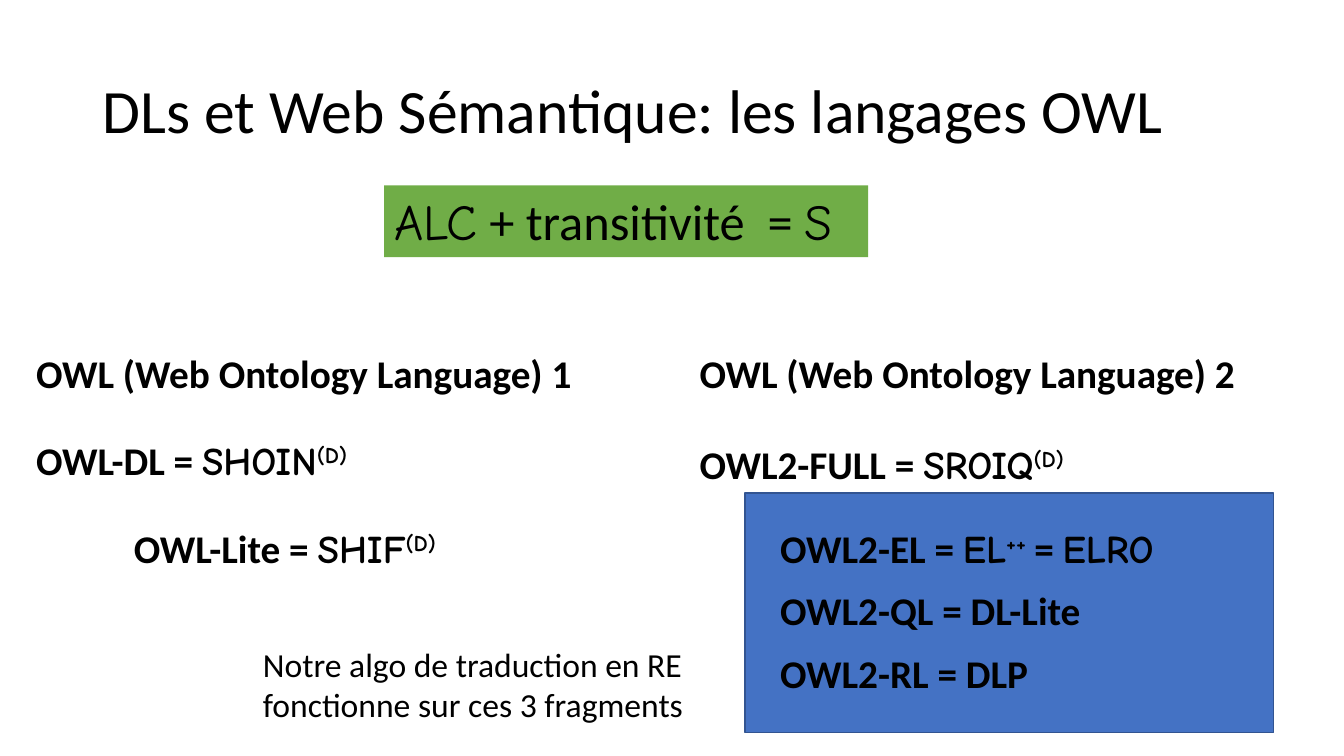
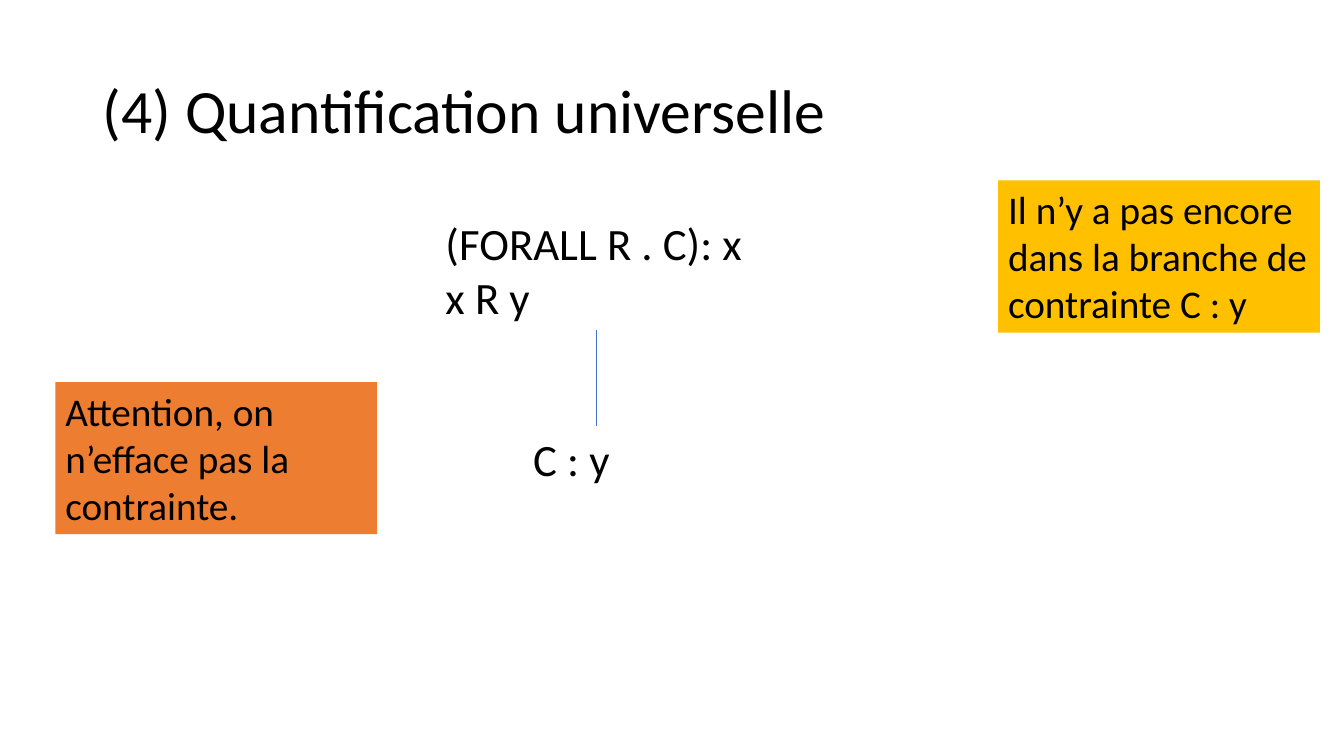
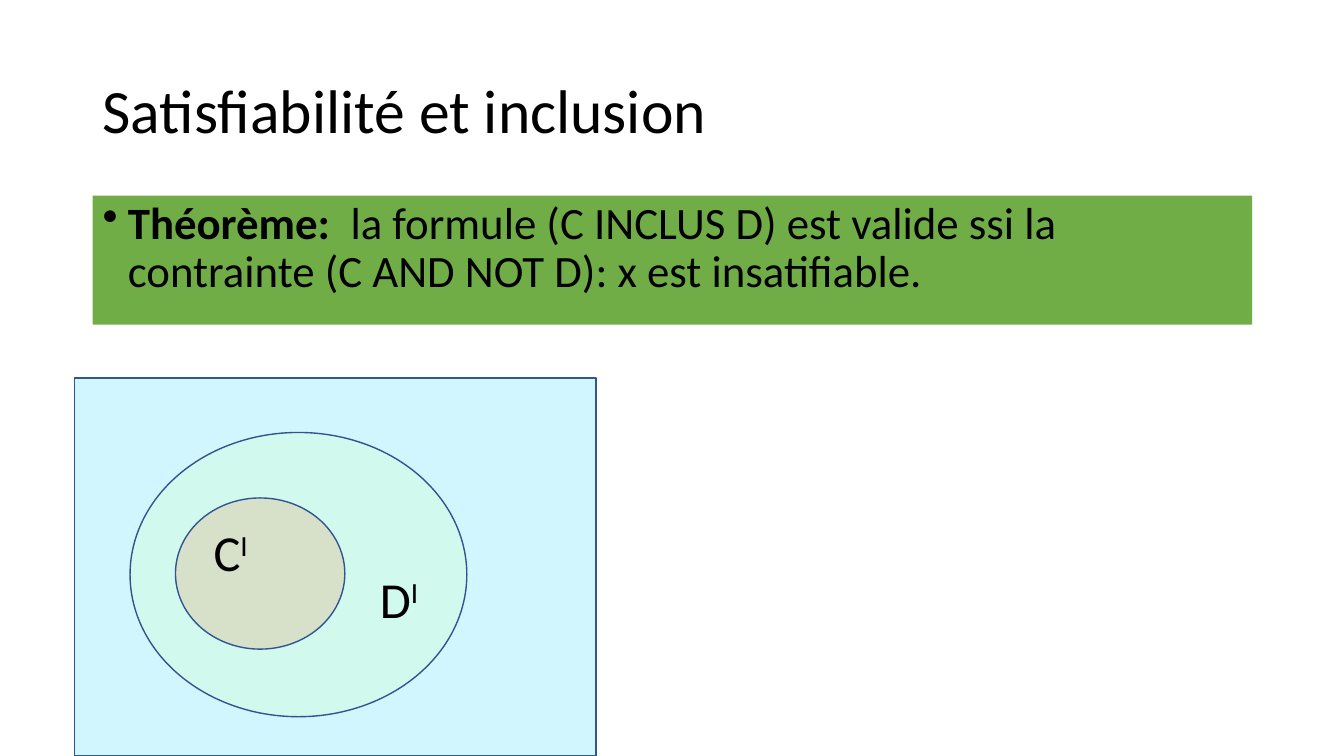
import lxml.etree
import pptx
import pptx.dml.color
import pptx.enum.shapes
import pptx.enum.text
import pptx.oxml.ns
import pptx.util

Inches = pptx.util.Inches
Pt = pptx.util.Pt
Color = pptx.dml.color.RGBColor
Kind = pptx.enum.shapes.MSO_SHAPE
qn = pptx.oxml.ns.qn

BLACK = Color(0x00, 0x00, 0x00)
BLUE = Color(0x44, 0x72, 0xC4)
NAVY = Color(0x32, 0x54, 0x91)
GREEN = Color(0x70, 0xAD, 0x47)
GOLD = Color(0xFF, 0xC0, 0x00)
ORANGE = Color(0xED, 0x7D, 0x31)
CYAN = Color(0x0F, 0xD2, 0xF9)
MINT = Color(0xD3, 0xFB, 0xE9)

FONT = "Calibri"
COMIC = "Comic Neue"
PLAIN, LOGIC, POWER, RAISED, STRONG = range(5)


class Deck:
    def __init__(self):
        self.show = pptx.Presentation()
        self.show.slide_width = Inches(13.33)
        self.show.slide_height = Inches(7.5)

    def page(self, title):
        self.slide = self.show.slides.add_slide(self.show.slide_layouts[6])
        box = self.text((0.92, 0.4, 11.5, 1.45), [title], 44)
        box.text_frame.vertical_anchor = pptx.enum.text.MSO_ANCHOR.MIDDLE
        box.text_frame.paragraphs[0].line_spacing = 0.9

    def text(self, place, lines, size, bold=False, fill=None):
        box = self.slide.shapes.add_textbox(*map(Inches, place))
        if fill is not None:
            box.fill.solid()
            box.fill.fore_color.rgb = fill
        frame = box.text_frame
        frame.word_wrap = True
        for index, line in enumerate(lines):
            para = frame.add_paragraph() if index else frame.paragraphs[0]
            para.font.name = FONT
            para.font.size = Pt(size)
            para.font.bold = bold
            para.font.color.rgb = BLACK
            for part, mark in [(line, PLAIN)] if isinstance(line, str) else line:
                self.run(para, part, mark)
        return box

    def run(self, para, part, mark):
        run = para.add_run()
        run.text = part
        if mark in (LOGIC, POWER):
            run.font.name = COMIC
        if mark in (POWER, RAISED):
            run.font._element.set("baseline", "30000")
        if mark == STRONG:
            run.font.bold = True

    def bullet(self, box):
        para = box.text_frame.paragraphs[0]
        para.line_spacing = 0.9
        para.space_before = Pt(10)
        props = para._p.get_or_add_pPr()
        props.set("marL", str(Inches(0.25)))
        props.set("indent", str(-Inches(0.25)))
        dot = lxml.etree.Element(qn("a:buChar"), char="•")
        props.find(qn("a:defRPr")).addprevious(dot)

    def shape(self, kind, place, fill, alpha=100):
        shape = self.slide.shapes.add_shape(kind, *map(Inches, place))
        shape.shadow.inherit = False
        shape.fill.solid()
        shape.fill.fore_color.rgb = fill
        shape.line.color.rgb = NAVY
        shape.line.width = Pt(1)
        if alpha < 100:
            tint = shape.element.spPr.find(qn("a:solidFill"))[0]
            lxml.etree.SubElement(tint, qn("a:alpha"), val=str(alpha * 1000))

    def link(self, start, end):
        line = self.slide.shapes.add_connector(
            pptx.enum.shapes.MSO_CONNECTOR.STRAIGHT, 0, 0, 0, 0)
        line.begin_connect(start, 2)
        line.end_connect(end, 0)
        line.line.color.rgb = BLUE
        line.line.width = Pt(0.5)
        lxml.etree.SubElement(line.element.spPr, qn("a:effectLst"))


def owl(deck):
    deck.page("DLs et Web Sémantique: les langages OWL")
    deck.shape(Kind.RECTANGLE, (7.39, 4.89, 5.24, 2.38), BLUE)
    deck.text((3.81, 1.84, 4.8, 0.71),
              [[("ALC", LOGIC), (" + transitivité  = ", PLAIN), ("S", LOGIC)]],
              36, fill=GREEN)
    data = ("(D)", POWER)
    items = [
        (0.26, 3.42, "OWL (Web Ontology Language) 1"),
        (0.26, 4.28, [("OWL-DL = ", PLAIN), ("SHOIN", LOGIC), data]),
        (1.23, 5.15, [("OWL-Lite = ", PLAIN), ("SHIF", LOGIC), data]),
        (6.84, 3.42, "OWL (Web Ontology Language) 2"),
        (6.84, 4.32, [("OWL2-FULL = ", PLAIN), ("SROIQ", LOGIC), data]),
    ]
    parts = [
        [("OWL2-EL = ", PLAIN), ("EL", LOGIC), ("++ ", POWER),
         ("= ", PLAIN), ("ELRO", LOGIC)],
        "OWL2-QL = DL-Lite",
        "OWL2-RL = DLP",
    ]
    items += [(7.64, 5.15 + 0.62 * row, part) for row, part in enumerate(parts)]
    for left, top, line in items:
        deck.text((left, top, 5.6, 0.57), [line], 28, bold=True)
    deck.text((2.51, 6.34, 4.38, 0.91),
              ["Notre algo de traduction en RE fonctionne sur ces 3 fragments"], 24)


def forall(deck):
    deck.page("(4) Quantification universelle")
    start = deck.text((4.32, 2.09, 3.19, 1.18), ["(FORALL R . C): x", "x R y"], 32)
    end = deck.text((5.19, 4.23, 1.45, 0.64), ["C : y"], 32)
    deck.link(start, end)
    notes = [
        (9.9, 1.79, GOLD, "Il n’y a pas encore  dans la branche de contrainte C : y"),
        (0.55, 3.79, ORANGE, "Attention, on n’efface pas la contrainte."),
    ]
    for left, top, fill, note in notes:
        deck.text((left, top, 3.19, 1.51), [note], 28, fill=fill)


def subset(deck):
    deck.page("Satisfiabilité et inclusion")
    deck.shape(Kind.RECTANGLE, (0.74, 3.75, 5.17, 3.75), CYAN, 19)
    claim = deck.text(
        (0.92, 1.94, 11.5, 1.28),
        [[("Théorème:  ", STRONG),
          ("la formule (C INCLUS D) est valide ssi la contrainte "
           "(C AND NOT D): x est insatifiable.", PLAIN)]],
        32, fill=GREEN)
    deck.bullet(claim)
    deck.shape(Kind.OVAL, (1.29, 4.29, 3.34, 2.82), MINT, 70)
    deck.shape(Kind.OVAL, (1.74, 4.94, 1.68, 1.5), ORANGE, 20)
    for left, top, name in [(2.02, 5.12, "C"), (3.67, 5.59, "D")]:
        deck.text((left, top, 1.19, 0.71), [[(name, PLAIN), ("I", RAISED)]], 36)


def main():
    deck = Deck()
    owl(deck)
    forall(deck)
    subset(deck)
    deck.show.save("out.pptx")


if __name__ == "__main__":
    main()
